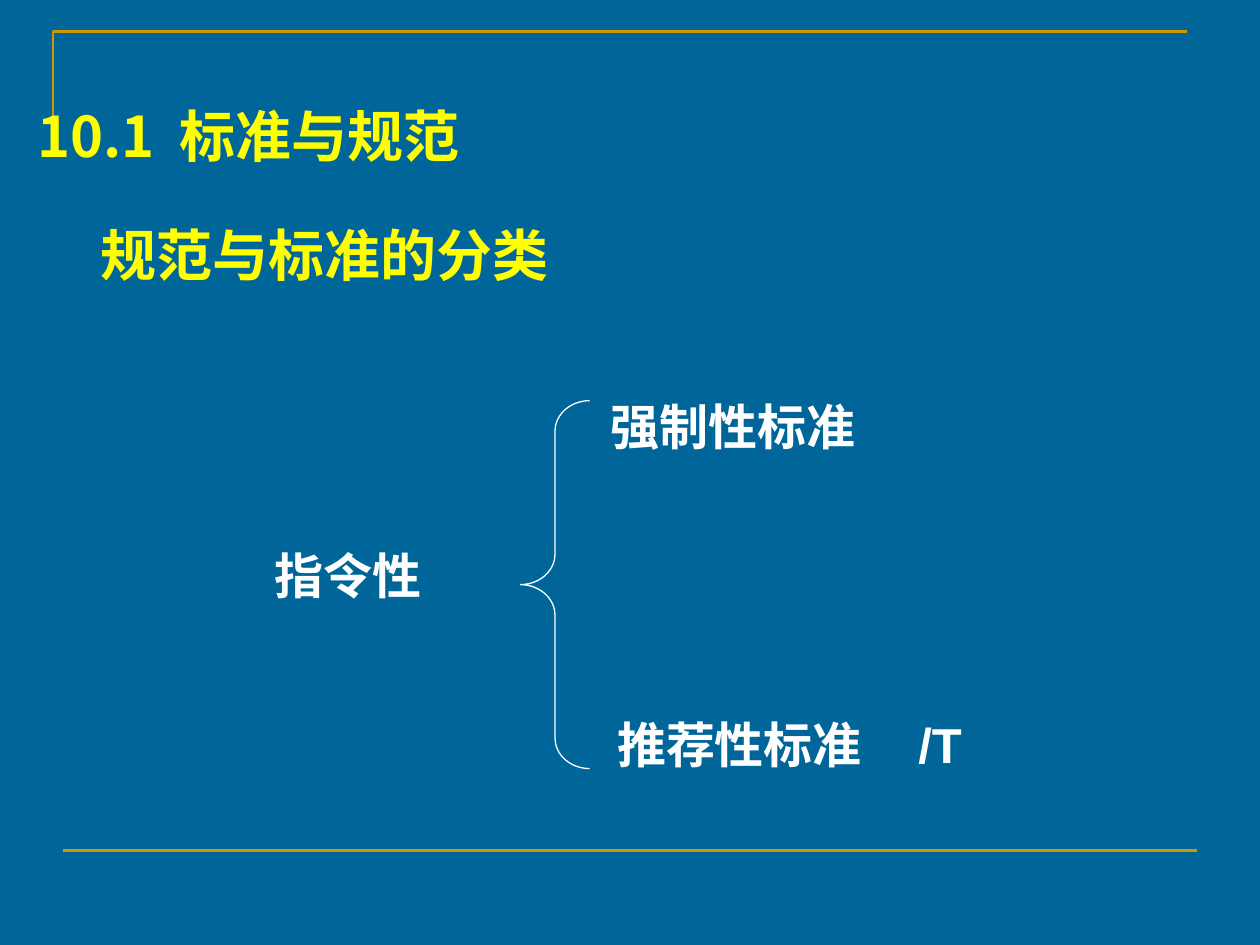
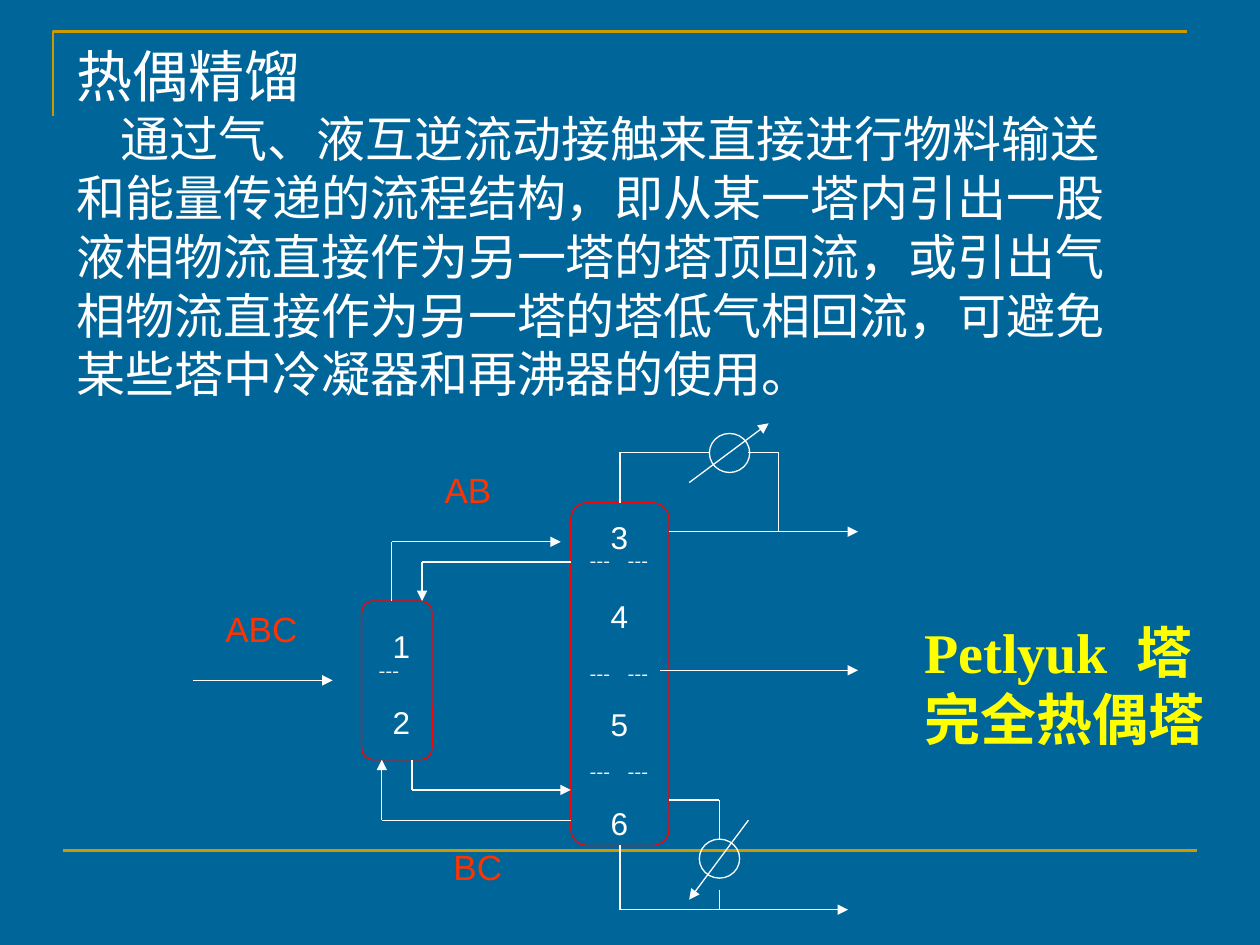
"""Build two slides: classes of standards, and thermally coupled distillation."""
from lxml.etree import SubElement as Sub
from pptx import Presentation
from pptx.dml.color import RGBColor as Rgb
from pptx.enum.shapes import MSO_CONNECTOR as Con, MSO_SHAPE as Geo
from pptx.enum.text import PP_ALIGN as Align
from pptx.oxml.ns import qn
from pptx.util import Inches, Pt

hues = {"back": "006699", "gold": "CC9900", "title": "FFFF00",
        "ink": "FFFFFF", "tower": "FF0000", "mix": "FF3300"}
tint = {name: Rgb.from_string(code) for name, code in hues.items()}
cjk = "Noto Sans CJK SC"


def put(shape, lines, size, hue="ink", bold=False, font="Arial", align=Align.LEFT, tab=None):
    frame = shape.text_frame
    frame.word_wrap = True
    frame.text = "\n".join(lines)
    for para in frame.paragraphs:
        para.alignment = align
        if tab and "\t" in para.text:
            stops = Sub(para._p.get_or_add_pPr(), qn("a:tabLst"))
            Sub(stops, qn("a:tab"), pos=str(Inches(tab)), algn="l")
        for run in para.runs:
            run.font.size = Pt(size)
            run.font.bold = bold
            run.font.name = font
            run.font.color.rgb = tint[hue]
            Sub(run._r.get_or_add_rPr(), qn("a:ea"), typeface=cjk)
    return frame


def pipe(slide, spots, arrow=False, hue="ink", width=0.75):
    parts = []
    for start, end in zip(spots, spots[1:]):
        part = slide.shapes.add_connector(Con.STRAIGHT, *map(Inches, start + end))
        part.line.color.rgb = tint[hue]
        part.line.width = Pt(width)
        Sub(part._element.spPr, qn("a:effectLst"))
        parts.append(part)
    if arrow:
        Sub(parts[-1].line._get_or_add_ln(), qn("a:tailEnd"), type="triangle")
    return parts


deck = Presentation()
deck.slide_width, deck.slide_height = Inches(10), Inches(7.5)

for _ in range(2):
    slide = deck.slides.add_slide(deck.slide_layouts[6])
    slide.background.fill.solid()
    slide.background.fill.fore_color.rgb = tint["back"]
    pen = slide.shapes.build_freeform(Inches(0.42), Inches(0.92), scale=1.0)
    pen.add_line_segments([(Inches(0.42), Inches(0.25)), (Inches(9.42), Inches(0.25))], close=False)
    edge = pen.convert_to_shape()
    edge.shadow.inherit = False
    edge.fill.background()
    edge.line.color.rgb = tint["gold"]
    edge.line.width = Pt(1.5)
    pipe(slide, [(0.5, 6.75), (9.5, 6.75)], hue="gold", width=1.5)

class_slide, tower_slide = deck.slides

shapes = class_slide.shapes
head = shapes.add_textbox(*map(Inches, (0.2, 0.76, 5.76, 0.64)))
put(head, ["10.1\t标准与规范"], 32, "title", True, cjk, tab=1.13)
band = shapes.add_shape(Geo.RECTANGLE, *map(Inches, (0.7, 1.7, 5.09, 0.64)))
band.shadow.inherit = False
band.fill.solid()
band.fill.fore_color.rgb = tint["back"]
band.line.color.rgb = tint["back"]
band.line.width = Pt(0.75)
put(band, ["规范与标准的分类"], 32, "title", True)

brace = shapes.add_shape(Geo.LEFT_BRACE, *map(Inches, (4.13, 3.18, 0.55, 2.92)))
brace.adjustments[0] = 0.44
brace.shadow.inherit = False
brace.fill.background()
brace.line.color.rgb = tint["ink"]
brace.line.width = Pt(0.75)
for left, top, wide, words in [(2.08, 4.28, 2.14, "指令性"), (4.75, 3.1, 2.92, "强制性标准"),
                               (4.8, 5.62, 3.57, "推荐性标准\t/T")]:
    label = shapes.add_textbox(*map(Inches, (left, top, wide, 0.57)))
    put(label, [words], 28, bold=True, tab=2.39)

shapes = tower_slide.shapes
story = shapes.add_textbox(*map(Inches, (0.51, 0.28, 8.62, 3.04)))
frame = put(story, ["热偶精馏", "通过气、液互逆流动接触来直接进行物料输送和能量传递的流程结构，"
                    "即从某一塔内引出一股液相物流直接作为另一塔的塔顶回流，"
                    "或引出气相物流直接作为另一塔的塔低气相回流，"
                    "可避免某些塔中冷凝器和再沸器的使用。"], 28, font=cjk)
frame.paragraphs[0].runs[0].font.size = Pt(32)
frame.paragraphs[1]._p.get_or_add_pPr().set("indent", str(Inches(0.35)))

units = []
for geo, hue, spot in [(Geo.ROUNDED_RECTANGLE, "tower", (2.87, 4.77, 0.56, 1.26)),
                       (Geo.ROUNDED_RECTANGLE, "tower", (4.53, 3.99, 0.78, 2.72)),
                       (Geo.FLOWCHART_CONNECTOR, "ink", (5.63, 3.44, 0.32, 0.31)),
                       (Geo.FLOWCHART_CONNECTOR, "ink", (5.55, 6.66, 0.32, 0.31))]:
    unit = shapes.add_shape(geo, *map(Inches, spot))
    unit.shadow.inherit = False
    unit.fill.background()
    unit.line.color.rgb = tint[hue]
    unit.line.width = Pt(0.75)
    units.append(unit)
small, tall, cooler, boiler = units

for spots in [
    [(1.53, 5.4), (2.64, 5.4)],
    [(3.11, 4.77), (3.11, 4.3), (4.45, 4.3)],
    [(4.53, 4.46), (3.35, 4.46), (3.35, 4.77)],
    [(3.27, 6.03), (3.27, 6.27), (4.53, 6.27)],
    [(4.53, 6.51), (3.03, 6.51), (3.03, 6.03)],
    [(5.31, 4.22), (6.81, 4.22)],
    [(5.24, 5.32), (6.81, 5.32)],
    [(5.47, 3.83), (6.1, 3.36)],
    [(5.94, 6.51), (5.47, 7.14)],
]:
    pipe(tower_slide, spots, arrow=True)
pipe(tower_slide, [(5.94, 3.59), (6.18, 3.59), (6.18, 4.22)])
pipe(tower_slide, [(5.71, 7.06), (5.71, 7.22)])
vapor = pipe(tower_slide, [(4.92, 3.99), (4.92, 3.59), (5.63, 3.59)])
vapor[0].begin_connect(tall, 0)
base = pipe(tower_slide, [(4.92, 6.71), (4.92, 7.22), (6.73, 7.22)], arrow=True)
base[0].begin_connect(tall, 2)
back = pipe(tower_slide, [(5.31, 6.35), (5.71, 6.35), (5.71, 6.66)])
back[-1].end_connect(boiler, 0)

dash = "﹉ ﹉"
for left, top, wide, high, lines in [(2.87, 4.93, 0.63, 1, ["1", "﹉", "2"]),
                                     (4.49, 4.06, 0.85, 0.7, ["3", dash]),
                                     (4.49, 4.69, 0.85, 0.4, ["4"]),
                                     (4.49, 5.25, 0.85, 0.7, [dash, "5"]),
                                     (4.49, 6.03, 0.85, 0.7, [dash, "6"])]:
    stage = shapes.add_textbox(*map(Inches, (left, top, wide, high)))
    frame = put(stage, lines, 18, align=Align.CENTER)
    if len(lines) == 3:
        frame.paragraphs[1].alignment = Align.LEFT

for left, top, words in [(1.69, 4.77, "ABC"), (3.43, 3.67, "AB"), (3.5, 6.66, "BC")]:
    label = shapes.add_textbox(*map(Inches, (left, top, 0.85, 0.44)))
    put(label, [words], 20, "mix")

name = shapes.add_textbox(*map(Inches, (7.24, 4.85, 2.87, 1.17)))
put(name, ["Petlyuk\t塔", "完全热偶塔"], 32, "title", True, "Times New Roman", tab=1.68)

deck.save("out.pptx")
